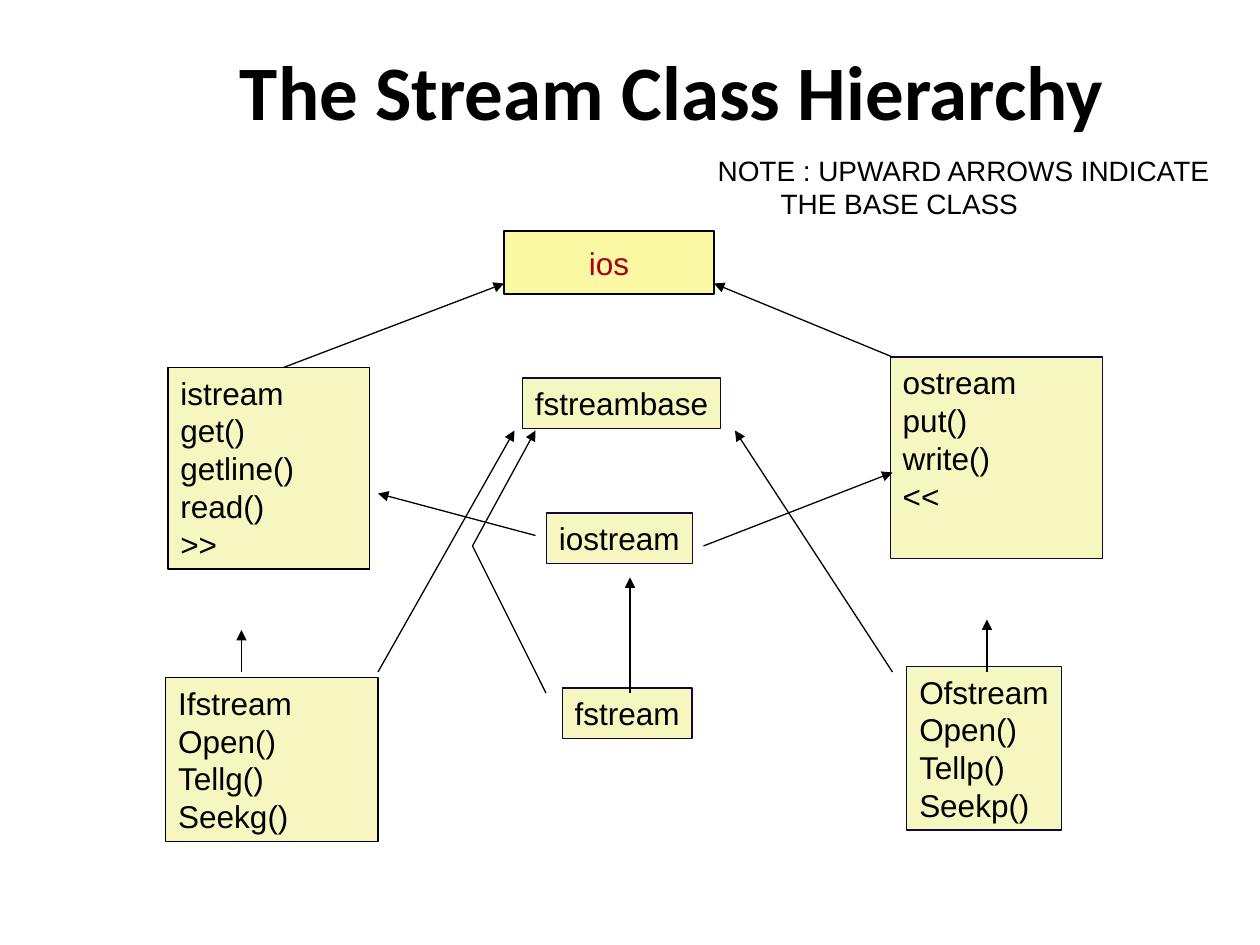
from lxml.etree import SubElement
from pptx import Presentation
from pptx.dml.color import RGBColor
from pptx.enum.shapes import MSO_CONNECTOR as Connector, MSO_SHAPE as Shape
from pptx.enum.text import MSO_ANCHOR as Anchor, PP_ALIGN as Align
from pptx.oxml.ns import qn
from pptx.util import Pt


def color(value):
    return RGBColor.from_string(value)


def write(shape, lines, size, font="Arial", ink="000000", bold=False,
          align=Align.LEFT, anchor=Anchor.TOP):
    frame = shape.text_frame
    frame.word_wrap = False
    frame.vertical_anchor = anchor
    frame.margin_left = frame.margin_right = Pt(7.2)
    frame.margin_top = frame.margin_bottom = Pt(3.6)
    for index, line in enumerate(lines):
        paragraph = frame.add_paragraph() if index else frame.paragraphs[0]
        paragraph.alignment = align
        run = paragraph.add_run()
        run.text = line
        run.font.name = font
        run.font.size = Pt(size)
        run.font.bold = bold
        run.font.color.rgb = color(ink)


presentation = Presentation()
presentation.slide_width, presentation.slide_height = Pt(720), Pt(540)
slide = presentation.slides.add_slide(presentation.slide_layouts[6])

# Title
title = slide.shapes.add_textbox(Pt(78), Pt(6), Pt(612), Pt(90))
write(title, ["The Stream Class Hierarchy"], 44, "Calibri", bold=True,
      align=Align.CENTER, anchor=Anchor.MIDDLE)

# Class boxes: left, top, width, height, outline, lines
black, navy = "000000", "12063A"
classes = [
    (288, 132, 120, 36, black, ["ios"]),
    (96, 210, 115.2, 115.2, black, ["istream", "get()", "getline()", "read()", ">>"]),
    (508.8, 204, 121.2, 115.2, navy, ["ostream", "put()", "write()", "<<"]),
    (298.6, 216, 113, 28.8, navy, ["fstreambase"]),
    (312.3, 293.2, 83.3, 28.8, navy, ["iostream"]),
    (94.8, 387.2, 121.2, 93.6, black, ["Ifstream", "Open()", "Tellg()", "Seekg()"]),
    (518.2, 380.8, 88.3, 93.6, navy, ["Ofstream", "Open()", "Tellp()", "Seekp()"]),
    (321.3, 393.2, 74.2, 28.8, navy, ["fstream"]),
]
for left, top, width, height, outline, lines in classes:
    is_root = lines == ["ios"]
    box = slide.shapes.add_shape(Shape.RECTANGLE, Pt(left), Pt(top), Pt(width), Pt(height))
    box.shadow.inherit = False
    box.fill.solid()
    box.fill.fore_color.rgb = color("FAF8A2" if is_root else "F6F6C0")
    box.line.color.rgb = color(outline)
    box.line.width = Pt(0.75)
    if is_root:
        write(box, lines, 18, ink="A50021", align=Align.CENTER, anchor=Anchor.MIDDLE)
    else:
        write(box, lines, 18)

# Inheritance arrows: start, end, arrowhead
arrows = [
    ((162, 210), (288, 162), True),   # istream to ios
    ((510, 204), (408, 162), True),   # ostream to ios
    ((138, 384), (138, 360), True),   # Ifstream to istream
    ((564, 384), (564, 354), True),   # Ofstream to ostream
    ((360, 396), (360, 330), True),   # fstream to iostream
    ((216, 384), (294, 246), True),   # Ifstream to fstreambase
    ((510, 384), (420, 246), True),   # Ofstream to fstreambase
    ((306, 306), (216, 282), True),   # iostream to istream
    ((402, 312), (510, 270), True),   # iostream to ostream
    ((312, 396), (270, 312), False),  # fstream to fstreambase, lower part
    ((270, 312), (306, 246), True),   # fstream to fstreambase, upper part
]
for start, end, has_head in arrows:
    arrow = slide.shapes.add_connector(Connector.STRAIGHT, *map(Pt, start + end))
    arrow.line.color.rgb = color(black)
    arrow.line.width = Pt(0.75)
    if has_head:
        SubElement(arrow.line._get_or_add_ln(), qn("a:tailEnd"), type="triangle")
    SubElement(arrow._element.spPr, qn("a:effectLst"))

# Note, second line set in by one tab
note = slide.shapes.add_textbox(Pt(403), Pt(84), Pt(298), Pt(46))
write(note, ["NOTE : UPWARD ARROWS INDICATE", "\tTHE BASE CLASS"], 16)

presentation.save("out.pptx")
